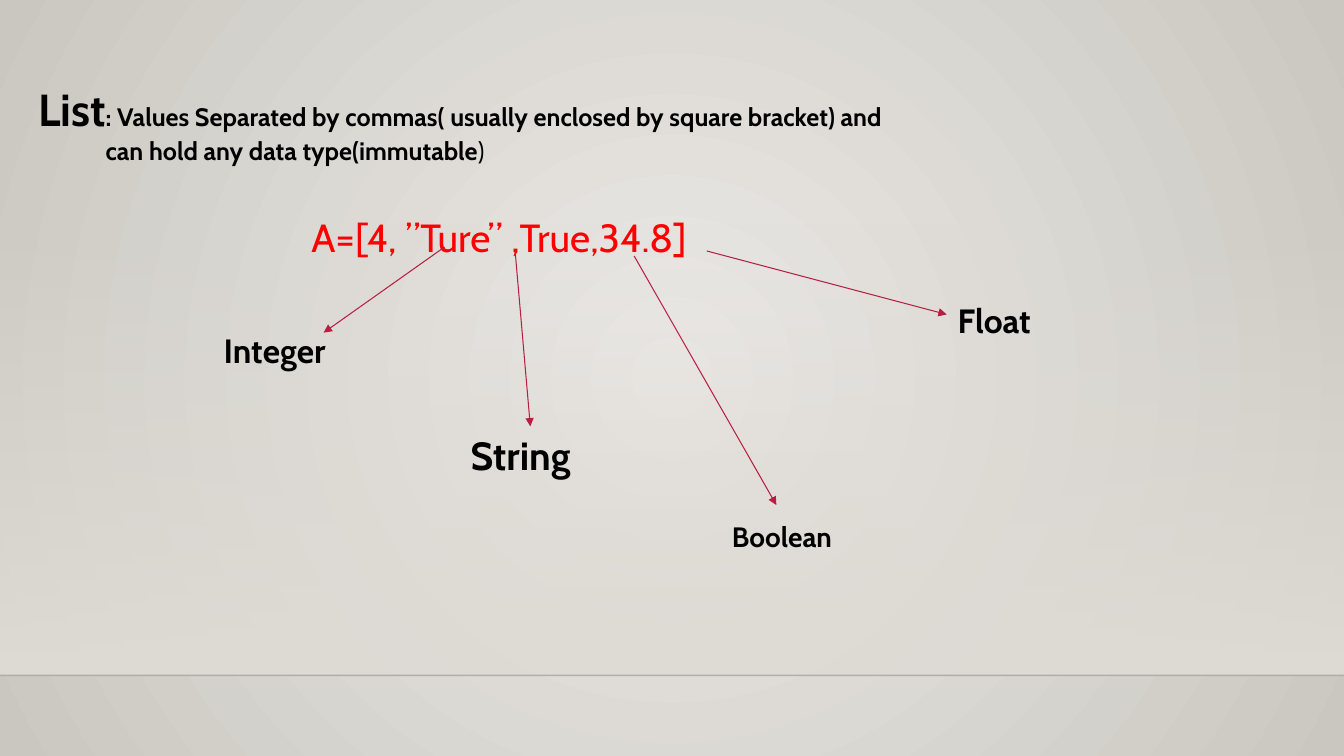
"""Builds a slide that explains the list type with a labelled example."""
from lxml.etree import SubElement
from pptx import Presentation
from pptx.dml.color import RGBColor
from pptx.enum.shapes import MSO_CONNECTOR, MSO_SHAPE
from pptx.enum.text import MSO_AUTO_SIZE
from pptx.oxml.ns import qn
from pptx.util import Inches, Pt

BLACK = RGBColor(0x00, 0x00, 0x00)
RED = RGBColor(0xFF, 0x00, 0x00)
CRIMSON = RGBColor(0xB7, 0x1E, 0x42)
NEAR_BLACK = RGBColor(0x00, 0x00, 0x01)
LIGHT = RGBColor(0xEC, 0xEA, 0xE7)
DARK = RGBColor(0xCA, 0xC7, 0xC1)
SAND = RGBColor(0xDF, 0xDB, 0xD5)

WIDTH, HEIGHT, FLOOR = 13.33, 7.5, 6.7


def add_span(para, text, size=18, bold=True, color=BLACK, font="Cabin"):
    span = para.add_run()
    span.text = text
    span.font.name = font
    span.font.size = Pt(size)
    span.font.bold = bold
    span.font.color.rgb = color


def set_alpha(color_element, percent):
    SubElement(color_element, qn("a:alpha")).set("val", str(percent * 1000))


def set_gradient(fill, first, last):
    fill.gradient()
    for stop, color, position in zip(fill.gradient_stops, (first, last), (0, 1)):
        stop.color.rgb = color
        stop.position = position


class SlideBuilder:
    def __init__(self, page):
        self.page = page

    def radial_background(self, inner, outer):
        set_gradient(self.page.background.fill, inner, outer)
        gradient = self.page.element.find(".//" + qn("a:gradFill"))
        gradient.remove(gradient.find(qn("a:lin")))
        circle = SubElement(gradient, qn("a:path"))
        circle.set("path", "circle")
        center = SubElement(circle, qn("a:fillToRect"))
        for side in "ltrb":
            center.set(side, "50000")

    def fading_band(self, left, top, width, height, color):
        band = self.page.shapes.add_shape(
            MSO_SHAPE.RECTANGLE, Inches(left), Inches(top), Inches(width), Inches(height))
        band.shadow.inherit = False
        band.line.fill.background()
        set_gradient(band.fill, color, color)
        band.fill.gradient_angle = 270
        set_alpha(band.element.spPr.find(".//" + qn("a:srgbClr")), 0)

    def line(self, start, end, color=CRIMSON, weight=0.75, alpha=None, arrow=True):
        line = self.page.shapes.add_connector(
            MSO_CONNECTOR.STRAIGHT, *(Inches(value) for value in (*start, *end)))
        line.line.color.rgb = color
        line.line.width = Pt(weight)
        properties = line.element.spPr
        outline = properties.find(qn("a:ln"))
        if alpha is not None:
            set_alpha(outline.find(".//" + qn("a:srgbClr")), alpha)
        if arrow:
            SubElement(outline, qn("a:tailEnd")).set("type", "triangle")
        SubElement(properties, qn("a:effectLst"))

    def text_frame(self, left, top, width, height, wrap=True):
        box = self.page.shapes.add_textbox(
            Inches(left), Inches(top), Inches(width), Inches(height))
        frame = box.text_frame
        frame.word_wrap = wrap
        frame.auto_size = MSO_AUTO_SIZE.SHAPE_TO_FIT_TEXT
        return frame

    def label(self, text, size, *bounds):
        frame = self.text_frame(*bounds, wrap=False)
        add_span(frame.paragraphs[0], text, size=size)

    def definition(self):
        frame = self.text_frame(0.28, 0.76, 12.17, 1.88)
        heading = frame.paragraphs[0]
        add_span(heading, "List", size=32)
        add_span(heading, ": Values Separated by commas( usually enclosed by square bracket) and")
        detail = self.indented(frame, 0.67)
        add_span(detail, "can hold any data type(immutable")
        add_span(detail, ")", bold=False)
        example = self.indented(frame, 2.71)
        example.space_before = Pt(34)
        add_span(example, "A=[4, ”Ture” ,True,34.8]", size=28, bold=False, color=RED)

    def indented(self, frame, indent):
        para = frame.add_paragraph()
        settings = para._p.get_or_add_pPr()
        settings.set("marL", str(Inches(indent)))
        settings.set("indent", "0")
        return para


def main():
    deck = Presentation()
    deck.slide_width, deck.slide_height = Inches(WIDTH), Inches(HEIGHT)
    builder = SlideBuilder(deck.slides.add_slide(deck.slide_layouts[6]))

    builder.radial_background(LIGHT, DARK)
    builder.fading_band(0, 2.21, WIDTH, FLOOR - 2.21, SAND)
    builder.line((0, FLOOR), (WIDTH, FLOOR), color=NEAR_BLACK, weight=1, alpha=20, arrow=False)
    builder.definition()

    for start, end in (
        ((4.41, 2.45), (3.21, 3.3)),
        ((5.11, 2.5), (5.26, 4.23)),
        ((6.29, 2.54), (7.7, 5.01)),
        ((7.01, 2.49), (9.39, 3.12)),
    ):
        builder.line(start, end)

    for label in (
        ("Integer", 24, 2.12, 3.22, 1.35, 0.5),
        ("String", 28, 4.57, 4.23, 1.32, 0.57),
        ("Boolean", 20, 7.16, 5.1, 1.27, 0.44),
        ("Float", 24, 9.4, 2.93, 1.01, 0.5),
    ):
        builder.label(*label)

    deck.save("out.pptx")


if __name__ == "__main__":
    main()
